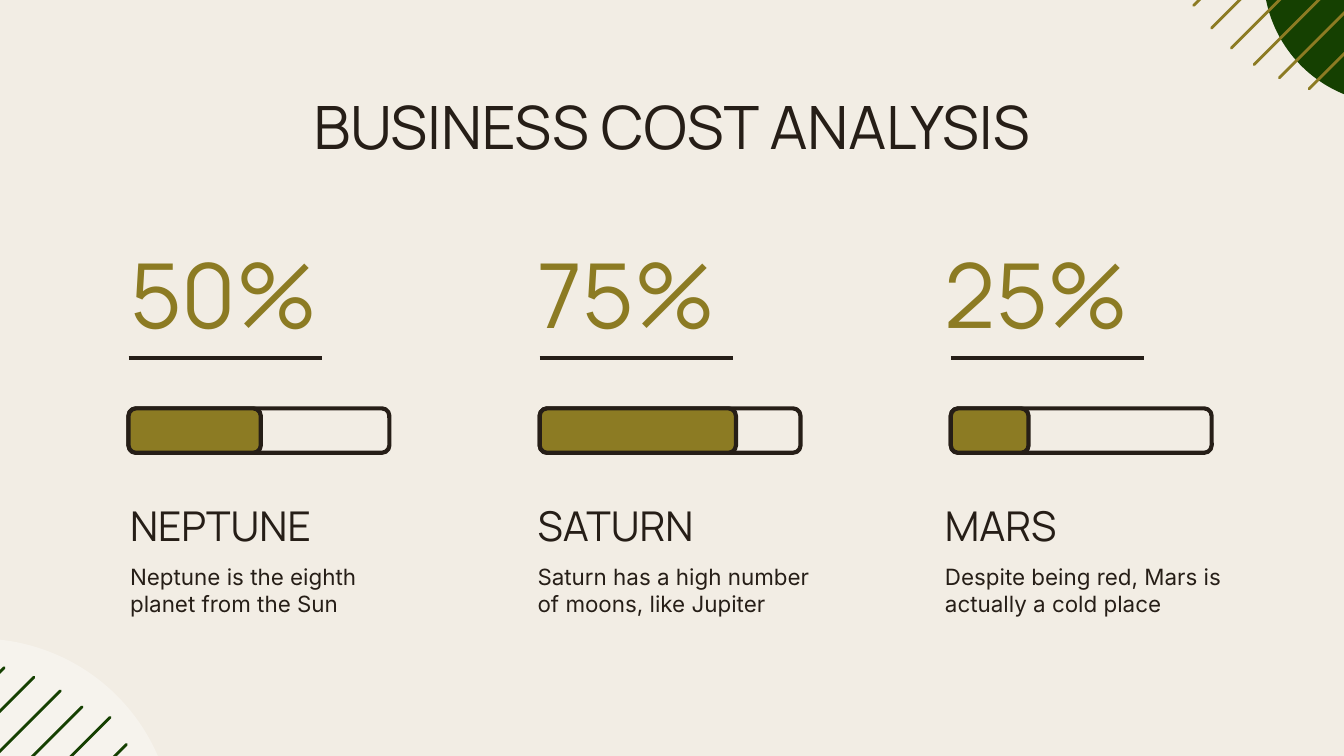
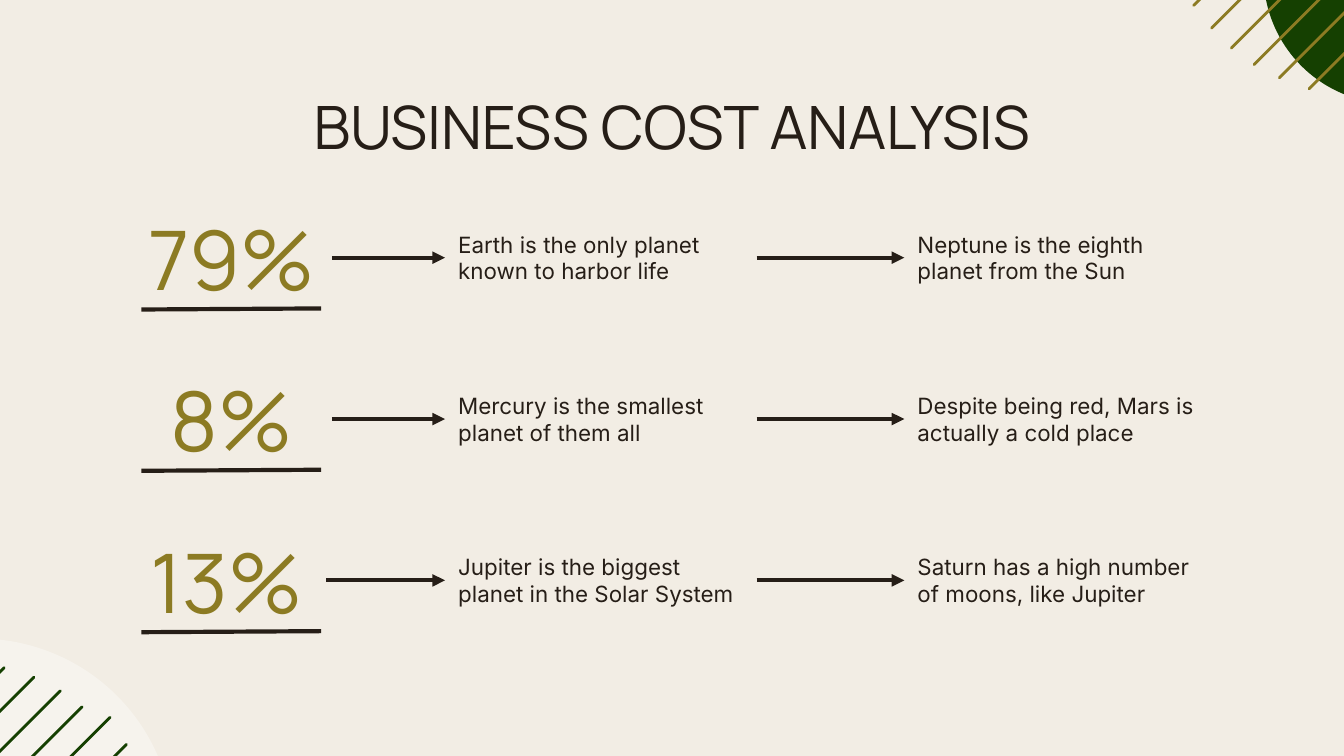
from lxml import etree
from pptx import Presentation
from pptx.dml.color import RGBColor
from pptx.enum import shapes, text
from pptx.oxml.ns import qn
from pptx.util import Cm, Pt

# Colours and fonts
CREAM = RGBColor(0xF2, 0xED, 0xE4)
INK = RGBColor(0x26, 0x1E, 0x17)
GOLD = RGBColor(0x8C, 0x7B, 0x23)
GREEN = RGBColor(0x15, 0x40, 0x01)
WHITE = RGBColor(0xFF, 0xFF, 0xFF)
HEAD, BODY = "Manrope", "Inter"
LEFT, MID = text.PP_ALIGN.LEFT, text.PP_ALIGN.CENTER
TOP, CENTRE, LOW = (text.MSO_ANCHOR.TOP, text.MSO_ANCHOR.MIDDLE,
                    text.MSO_ANCHOR.BOTTOM)

# Content
TITLE = "BUSINESS COST ANALYSIS"
NEPTUNE = "Neptune is the eighth planet from the Sun"
MARS = "Despite being red, Mars is actually a cold place"
SATURN = "Saturn has a high number of moons, like Jupiter"
BARS = [  # share, name, note, filled length
    ("50%", "NEPTUNE", NEPTUNE, 2.5),
    ("75%", "SATURN", SATURN, 3.71),
    ("25%", "MARS", MARS, 1.47),
]
ROWS = [  # share, first note, second note, shift of the share
    ("79%", "Earth is the only planet known to harbor life", NEPTUNE, 0),
    ("8%", "Mercury is the smallest planet of them all", MARS, 0),
    ("13%", "Jupiter is the biggest planet in the Solar System", SATURN, -0.1),
]

# Corner stripes at 45 degrees: inner end x, y and run
GOLD_ENDS = [(22.56, 0.1, 4.95), (22.9, 0.53, 5.24), (23.27, 0.91, 5.31),
             (23.7, 1.22, 5.13), (24.18, 1.47, 4.72), (24.74, 1.68, 4.34)]
GREEN_ENDS = [(0.08, 12.62, 4.34), (0.64, 12.8, 4.72), (1.14, 13.06, 4.95),
              (1.55, 13.36, 5.05), (2.08, 13.56, 5.23), (2.39, 14.07, 5.07)]


def write(slide, words, box, shape=None, size=12, font=BODY, color=INK,
          align=LEFT, anchor=TOP):
    """Put text in a new box, or in the given placeholder."""
    box = [Cm(n) for n in box]
    if shape is None:
        shape = slide.shapes.add_textbox(*box)
    shape.left, shape.top, shape.width, shape.height = box
    frame = shape.text_frame
    frame.word_wrap = True
    frame.auto_size = text.MSO_AUTO_SIZE.NONE
    frame.vertical_anchor = anchor
    frame.margin_left = frame.margin_right = Cm(0.25)
    frame.margin_top = frame.margin_bottom = Cm(0.25)
    para = frame.paragraphs[0]
    para.text, para.alignment = words, align
    para.font.size, para.font.name = Pt(size), font
    para.font.color.rgb = color


def draw(slide, kind, box, fill=None, line=None):
    shape = slide.shapes.add_shape(kind, *[Cm(n) for n in box])
    shape.shadow.inherit = False
    if fill is None:
        shape.fill.background()
    else:
        shape.fill.solid()
        shape.fill.fore_color.rgb = fill
    if line is None:
        shape.line.fill.background()
    else:
        shape.line.color.rgb, shape.line.width = line, Pt(2.25)
    return shape


def rule(slide, x, y, to_x, to_y, color=INK, width=2.25, arrow=False,
         cap="flat"):
    line = slide.shapes.add_connector(
        shapes.MSO_CONNECTOR.STRAIGHT, Cm(x), Cm(y), Cm(to_x), Cm(to_y))
    line.line.color.rgb, line.line.width = color, Pt(width)
    props = line.element.spPr
    edge = props.find(qn("a:ln"))
    edge.set("cap", cap)
    if arrow:
        etree.SubElement(edge, qn("a:tailEnd")).set("type", "triangle")
    etree.SubElement(props, qn("a:effectLst"))
    return line


def adorn(layout, slide):
    """Draw the shared corners, then hand them over to the layout."""
    layout.background.fill.solid()
    layout.background.fill.fore_color.rgb = CREAM
    oval = shapes.MSO_SHAPE.OVAL
    disc = draw(slide, oval, (23.88, -2.92, 4.88, 4.88), fill=GREEN)
    glow = draw(slide, oval, (-4.09, 12.07, 7.37, 7.32), fill=WHITE)
    tint = glow.element.spPr.find(qn("a:solidFill"))[0]
    etree.SubElement(tint, qn("a:alpha")).set("val", "36000")
    parts = [disc, glow]
    for ends, color, way in ((GOLD_ENDS, GOLD, 1), (GREEN_ENDS, GREEN, -1)):
        for x, y, run in ends:
            parts.append(rule(slide, x, y, x + way * run, y - way * run,
                              color=color, width=1.5, cap="rnd"))
    for part in parts:
        layout.shapes.element.append(part.element)


def start(deck, layout):
    slide = deck.slides.add_slide(layout)
    write(slide, TITLE, (1.98, 1.45, 21.44, 1.96), shape=slide.shapes.title,
          size=32, font=HEAD, align=MID)
    return slide


def show_bars(slide):
    round_box = shapes.MSO_SHAPE.ROUNDED_RECTANGLE
    wide, high = 4.93, 0.84
    for i, (share, name, note, done) in enumerate(BARS):
        x, bar = 2.21 + 7.7 * i, 2.43 + 7.77 * i
        write(slide, share, (x, 4.22, 5.82, 2.57), size=48, font=HEAD,
              color=GOLD, anchor=LOW)
        write(slide, name, (x, 9.09, 5.82, 1.55), size=22, font=HEAD,
              anchor=LOW)
        write(slide, note, (x, 10.39, 5.82, 1.55))
        rule(slide, bar, 6.77, bar + 3.65, 6.77)
        for length, fill in ((wide, None), (done, GOLD)):
            box = draw(slide, round_box, (bar, 7.72, length, high),
                       fill=fill, line=INK)
            box.adjustments[0] = 0.167


def show_rows(slide):
    high = 1.96
    for i, (share, first, second, shift) in enumerate(ROWS):
        y = 3.89 + 3.05 * i
        axis = y + high / 2
        write(slide, share, (2.49 + shift, y, 3.78, high), size=44, font=HEAD,
              color=GOLD, align=MID, anchor=CENTRE)
        rule(slide, 2.67, y + 1.96, 6.07, y + 1.94)
        for note, x, tail in ((first, 8.41, 6.27 + shift),
                              (second, 17.09, 14.3)):
            write(slide, note, (x, y, 5.89, high), anchor=CENTRE)
            rule(slide, tail, axis, x, axis, arrow=True)


def main():
    deck = Presentation()
    deck.slide_width, deck.slide_height = Cm(25.4), Cm(14.29)
    layout = deck.slide_layouts[5]
    bars, rows = start(deck, layout), start(deck, layout)
    adorn(layout, bars)
    show_bars(bars)
    show_rows(rows)
    deck.save("out.pptx")


if __name__ == "__main__":
    main()
